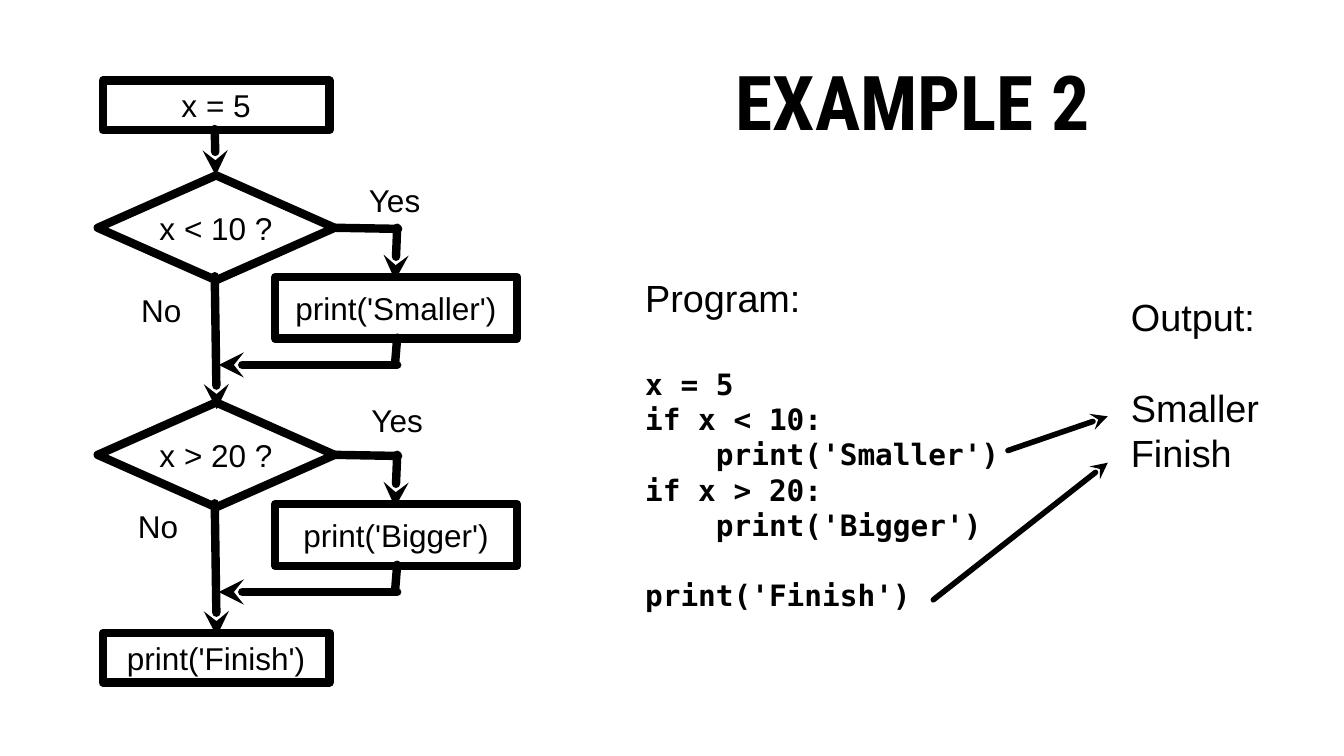
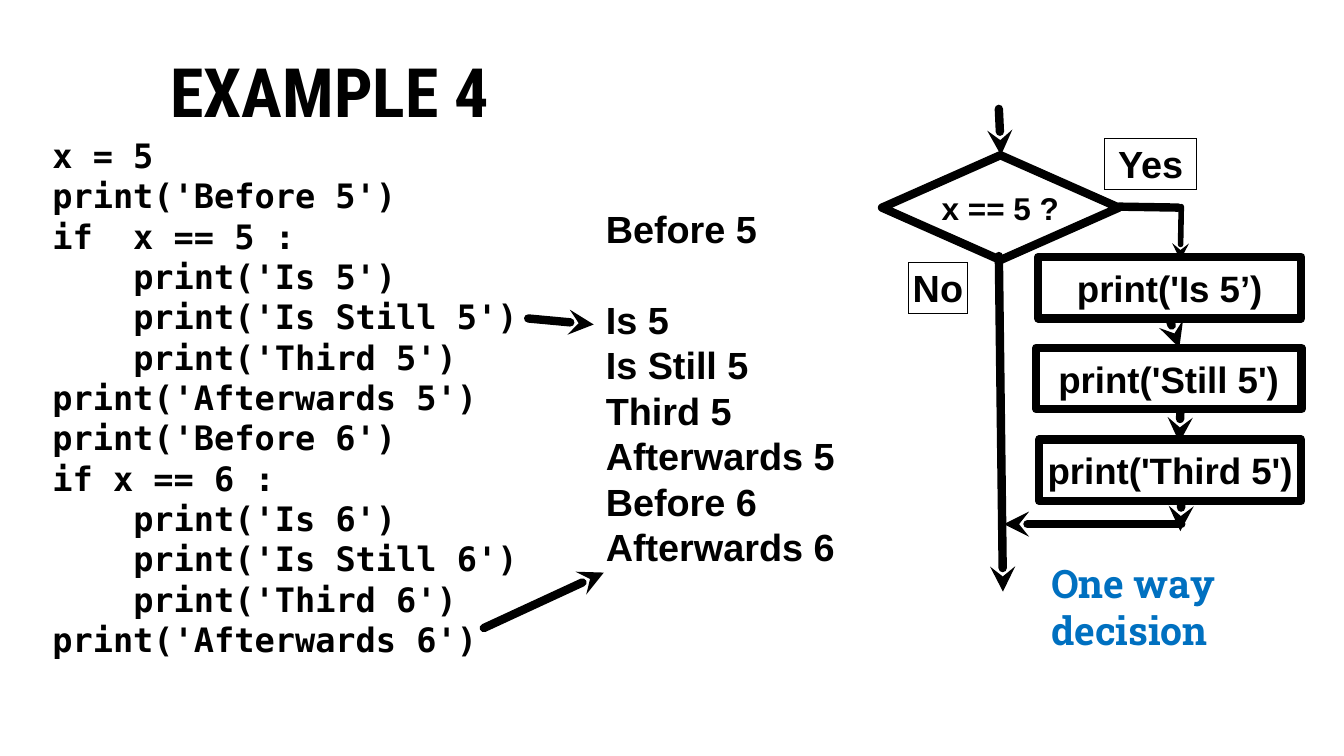
from lxml import etree
from pptx import Presentation
from pptx.dml.color import RGBColor
from pptx.enum.shapes import MSO_CONNECTOR, MSO_SHAPE
from pptx.enum.text import MSO_ANCHOR, MSO_AUTO_SIZE, PP_ALIGN
from pptx.oxml.ns import qn
from pptx.util import Pt

RECT, DIAMOND = MSO_SHAPE.RECTANGLE, MSO_SHAPE.DIAMOND
STRAIGHT = MSO_CONNECTOR.STRAIGHT
LEFT, CENTER = PP_ALIGN.LEFT, PP_ALIGN.CENTER
TOP, MIDDLE = MSO_ANCHOR.TOP, MSO_ANCHOR.MIDDLE
NO_FIT = MSO_AUTO_SIZE.NONE

COLORS = {"ink": "000000", "accent": "0070C0"}
LINE_RATIO = 1.2
MONO_RATIO = 0.602
INDENT_CHARS = 4
THICK, MEDIUM, THIN = 6, 4, 0.75

SANS, MONO = "Arial", "DejaVu Sans Mono"
STYLES = {
    "title 2": {"name": "Roboto Condensed", "size": 54, "bold": True},
    "title 4": {"name": "Roboto Condensed", "size": 48.6, "bold": True},
    "output": {"name": SANS, "size": 27, "bold": False},
    "output bold": {"name": SANS, "size": 27, "bold": True},
    "code small": {"name": MONO, "size": 21, "bold": True},
    "code": {"name": MONO, "size": 24, "bold": True},
    "node": {"name": SANS, "size": 22.5, "bold": False},
    "node bold": {"name": SANS, "size": 22.5, "bold": True},
    "step bold": {"name": SANS, "size": 26.2, "bold": True},
    "note": {"name": "Roboto Slab", "size": 28, "bold": True, "color": "accent"},
}

PROGRAM_2 = [
    ("Program:", "output", 0, 0),
    ("x = 5", "code small", 0, 32.4),
    ("if x < 10:", "code small", 0, 0),
    ("print('Smaller')", "code small", 1, 0),
    ("if x > 20:", "code small", 0, 0),
    ("print('Bigger')", "code small", 1, 0),
    ("print('Finish')", "code small", 0, 25.2),
]
OUTPUT_2 = [
    ("Output:", "output", 0, 0),
    ("Smaller", "output", 0, 32.4),
    ("Finish", "output", 0, 0),
]
PROGRAM_4 = [(text, "code", level, 0) for text, level in [
    ("x = 5", 0),
    ("print('Before 5')", 0),
    ("if  x == 5 :", 0),
    ("print('Is 5')", 1),
    ("print('Is Still 5')", 1),
    ("print('Third 5')", 1),
    ("print('Afterwards 5')", 0),
    ("print('Before 6')", 0),
    ("if x == 6 :", 0),
    ("print('Is 6')", 1),
    ("print('Is Still 6')", 1),
    ("print('Third 6')", 1),
    ("print('Afterwards 6')", 0),
]]
OUTPUT_4 = [(text, "output bold", 0, gap) for text, gap in [
    ("Before 5", 0), ("Is 5", 32.4), ("Is Still 5", 0), ("Third 5", 0),
    ("Afterwards 5", 0), ("Before 6", 0), ("Afterwards 6", 0),
]]

DECISIONS = [("x < 10 ?", "print('Smaller')"), ("x > 20 ?", "print('Bigger')")]
DECISION_TOP, DECISION_PITCH = 125.3, 162.2
DIAMOND_SIZE = (169.2, 74.9)
DECISION_LINES = [
    ((153.4, 72), (154.8, 167), THICK, True),
    ((238.3, 37.4), (284.4, 38.2), THICK, False),
    ((283.7, 37.4), (282.2, 74.9), THICK, True),
    ((283.7, 115.9), (282.2, 134.6), THICK, False),
    ((283.7, 135.4), (156.2, 135.4), THICK, True),
]
ENDS_2 = [("x = 5", 57.6), ("print('Finish')", 452.2)]
LABELS_2 = [
    ("Yes", (260.6, 124.6, 42.5, 36.7)),
    ("No", (93.6, 200.2, 43.2, 41.8)),
    ("Yes", (262.1, 281.5, 43.2, 36.7)),
    ("No", (91.4, 360, 43.2, 31)),
]
LINES_2 = [
    ((153.4, 92.2), (154.1, 125.3), THICK, True),
    ((720, 321.8), (791.3, 297.4), MEDIUM, True),
    ((666.7, 428.4), (791.3, 330.5), MEDIUM, True),
]

NODES_4 = [
    ("x == 5 ?", DIAMOND, (630, 110.9, *DIAMOND_SIZE), THICK, "node bold"),
    ("Yes", RECT, (789.1, 98.6, 65.5, 36.7), THIN, "output bold"),
    ("No", RECT, (648.7, 187.2, 42.5, 36.7), THIN, "output bold"),
    ("print('Is 5’)", RECT, (741.6, 183.6, 187.9, 43.9), THICK, "step bold"),
    ("print('Still 5')", RECT, (740.2, 248.4, 189.4, 43.9), THICK, "step bold"),
    ("print('Third 5')", RECT, (742.3, 313.9, 187.2, 43.9), THICK, "step bold"),
]
LINES_4 = [
    ((377.3, 227.5), (424.1, 231.8), THICK, True),
    ((345.6, 448.6), (431.3, 409), THICK, True),
    ((713.5, 77.8), (715, 110.9), THICK, True),
    ((713.5, 182.9), (716.4, 422.6), THICK, True),
    ((799.2, 147.6), (841.7, 148.3), THICK, False),
    ((843.8, 147.6), (843.1, 185.8), MEDIUM, True),
    ((843.8, 374.4), (717.1, 374.4), THICK, True),
    ((835.2, 227.5), (842.4, 248.4), THICK, True),
    ((843.1, 295.2), (842.4, 316.1), THICK, True),
    ((843.8, 358.6), (843.1, 379.4), THICK, True),
]


def place(sp, box):
    for name, value in zip(("left", "top", "width", "height"), box):
        setattr(sp, name, Pt(value))


def set_frame(tf, anchor=MIDDLE, wrap=True, insets=(0, 0)):
    side, edge = insets
    formats = {
        "auto_size": NO_FIT, "word_wrap": wrap, "vertical_anchor": anchor,
        "margin_left": Pt(side), "margin_right": Pt(side),
        "margin_top": Pt(edge), "margin_bottom": Pt(edge),
    }
    for name, value in formats.items():
        setattr(tf, name, value)


def write(tf, lines, align=LEFT):
    for i, (text, style, level, gap) in enumerate(lines):
        p = tf.add_paragraph() if i else tf.paragraphs[0]
        look = STYLES[style]
        formats = {
            "alignment": align, "space_before": Pt(gap), "space_after": Pt(0),
            "line_spacing": Pt(look["size"] * LINE_RATIO),
        }
        for name, value in formats.items():
            setattr(p, name, value)
        pPr = p._p.get_or_add_pPr()
        margin = level * INDENT_CHARS * MONO_RATIO * look["size"]
        pPr.set("marL", str(int(Pt(margin))))
        pPr.set("indent", "0")
        etree.SubElement(pPr, qn("a:buNone"))
        r = p.add_run()
        r.text = text
        for name in ("name", "bold"):
            setattr(r.font, name, look[name])
        r.font.size = Pt(look["size"])
        r.font.color.rgb = RGBColor.from_string(COLORS[look.get("color", "ink")])


def set_line(sp, width, cap="rnd", arrow=False):
    sp.line.color.rgb = RGBColor.from_string(COLORS["ink"])
    sp.line.width = Pt(width)
    ln = sp.line._get_or_add_ln()
    ln.set("cap", cap)
    etree.SubElement(ln, qn("a:round" if cap == "rnd" else "a:miter"))
    if arrow:
        etree.SubElement(ln, qn("a:tailEnd"), type="stealth")


def add_node(s, text, kind, box, width, style):
    sp = s.shapes.add_shape(kind, *map(Pt, box))
    sp.shadow.inherit = False
    sp.fill.background()
    set_line(sp, width, "rnd" if width == THICK else "flat")
    set_frame(sp.text_frame, wrap=False)
    write(sp.text_frame, [(text, style, 0, 0)], CENTER)


def add_lines(s, lines, dy=0):
    for (x1, y1), (x2, y2), width, arrow in lines:
        cn = s.shapes.add_connector(STRAIGHT, Pt(x1), Pt(y1 + dy), Pt(x2), Pt(y2 + dy))
        set_line(cn, width, arrow=arrow)
        etree.SubElement(cn._element.spPr, qn("a:effectLst"))


def add_text(s, box, lines, align=LEFT, **frame):
    tf = s.shapes.add_textbox(*map(Pt, box)).text_frame
    set_frame(tf, **frame)
    write(tf, lines, align)


def add_slide(prs, title, title_style, title_box, bodies):
    s = prs.slides.add_slide(prs.slide_layouts[3])
    heading, *places = s.placeholders
    place(heading, title_box)
    set_frame(heading.text_frame, insets=(2.2, 2.2))
    write(heading.text_frame, [(title, title_style, 0, 0)])
    for sp, (box, lines) in zip(places, bodies):
        place(sp, box)
        set_frame(sp.text_frame)
        write(sp.text_frame, lines)
    return s


def build_example_2(prs):
    s = add_slide(prs, "EXAMPLE 2", "title 2", (523.4, 31, 303.8, 80.6), [
        ((460.8, 169.9, 267.8, 294.5), PROGRAM_2),
        ((807.8, 210.2, 95, 128.9), OUTPUT_2),
    ])
    for text, top in ENDS_2:
        add_node(s, text, RECT, (73.4, top, 162, 35.3), THICK, "node")
    for i, (question, action) in enumerate(DECISIONS):
        top = DECISION_TOP + i * DECISION_PITCH
        add_node(s, question, DIAMOND, (69.8, top, *DIAMOND_SIZE), THICK, "node")
        add_node(s, action, RECT, (196.6, top + 72.7, 172.8, 43.9), THICK, "node")
        add_lines(s, DECISION_LINES, top)
    for text, box in LABELS_2:
        add_text(s, box, [(text, "node", 0, 0)], CENTER, wrap=False)
    add_lines(s, LINES_2)


def build_example_4(prs):
    s = add_slide(prs, "EXAMPLE 4", "title 4", (119.5, 33.1, 561.6, 63.4), [
        ((37.4, 91.4, 340, 384.5), PROGRAM_4),
        ((432.7, 123.1, 170, 307.4), OUTPUT_4),
    ])
    for node in NODES_4:
        add_node(s, *node)
    add_lines(s, LINES_4)
    add_text(s, (743.8, 396, 139, 74.9), [("One way decision", "note", 0, 0)],
             anchor=TOP, insets=(7.2, 3.6))


def main():
    prs = Presentation()
    prs.slide_width, prs.slide_height = Pt(960), Pt(540)
    build_example_2(prs)
    build_example_4(prs)
    prs.save("out.pptx")


if __name__ == "__main__":
    main()
